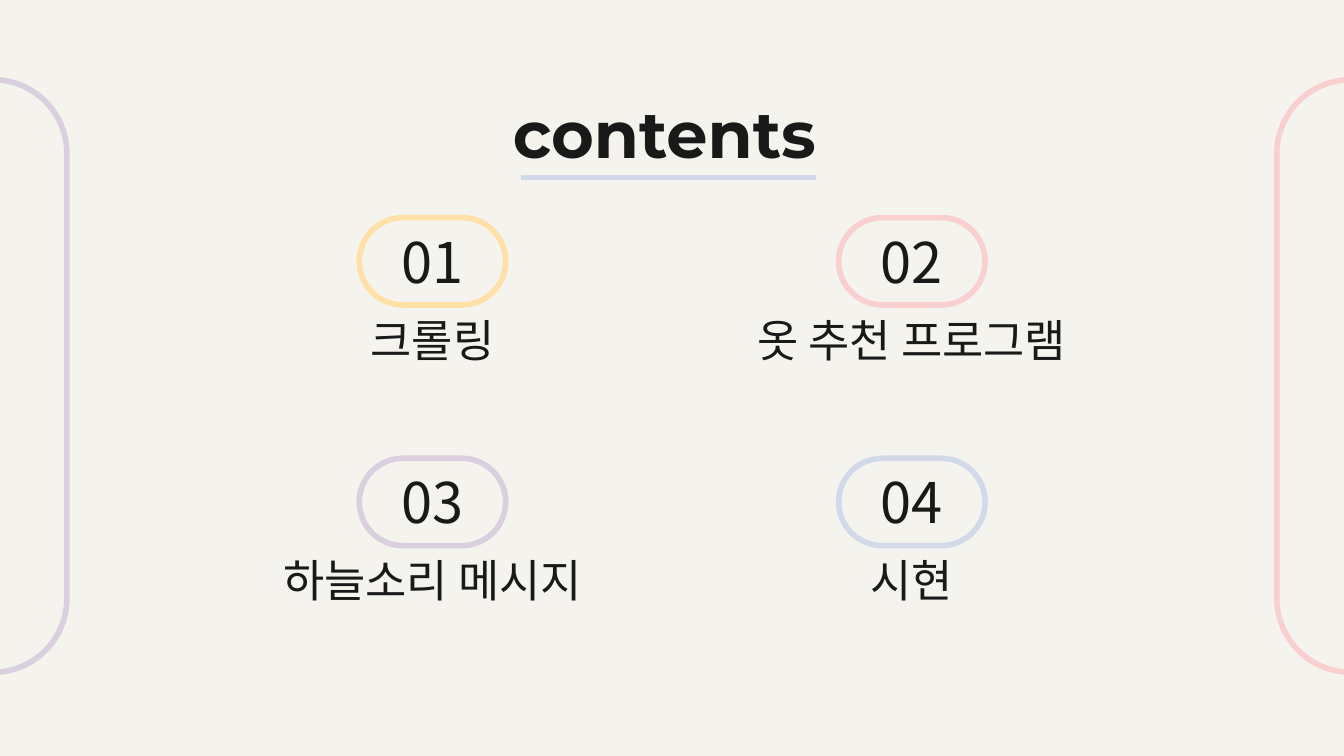
from lxml import etree
from pptx import Presentation
from pptx.dml.color import RGBColor
from pptx.enum.shapes import MSO_CONNECTOR, MSO_SHAPE
from pptx.enum.text import MSO_ANCHOR, MSO_AUTO_SIZE, PP_ALIGN
from pptx.oxml.ns import qn
from pptx.util import Pt

ROUNDED = MSO_SHAPE.ROUNDED_RECTANGLE
STRAIGHT = MSO_CONNECTOR.STRAIGHT
TOP, MIDDLE, BOTTOM = MSO_ANCHOR.TOP, MSO_ANCHOR.MIDDLE, MSO_ANCHOR.BOTTOM
CENTER = PP_ALIGN.CENTER
FIXED = MSO_AUTO_SIZE.NONE

COLORS = {
    "background": "F5F3ED",
    "text": "191919",
    "yellow": "FFE0A7",
    "pink": "F9CFD0",
    "purple": "D9CFDE",
    "blue": "D2DAE9",
}
KOREAN = "Noto Sans CJK KR"
FORMATS = {
    "title": {"name": "Montserrat", "size": Pt(35), "bold": True},
    "number": {"name": KOREAN, "size": Pt(30), "bold": False},
    "label": {"name": KOREAN, "size": Pt(24), "bold": False},
}
FRAME = {
    "margin_left": Pt(7.2),
    "margin_right": Pt(7.2),
    "margin_top": Pt(7.2),
    "margin_bottom": Pt(7.2),
    "word_wrap": True,
    "auto_size": FIXED,
}
ITEMS = [
    ("01", "크롤링", "yellow"),
    ("02", "옷 추천 프로그램", "pink"),
    ("03", "하늘소리 메시지", "purple"),
    ("04", "시현", "blue"),
]


def write(box, text, style, anchor):
    frame = box.text_frame
    for name, value in FRAME.items():
        setattr(frame, name, value)
    frame.vertical_anchor = anchor
    para = frame.paragraphs[0]
    para.alignment = CENTER
    span = para.add_run()
    span.text = text
    for name, value in FORMATS[style].items():
        setattr(span.font, name, value)
    span.font.color.rgb = RGBColor.from_string(COLORS["text"])
    east_asian = etree.SubElement(span.font._element, qn("a:ea"))
    east_asian.set("typeface", FORMATS[style]["name"])


def add_pill(center_x, center_y, width, height, color):
    """Add an unfilled, fully rounded outline around a centre point."""
    pill = page.shapes.add_shape(
        ROUNDED, Pt(center_x - width / 2), Pt(center_y - height / 2), Pt(width), Pt(height)
    )
    pill.adjustments[0] = 0.5
    pill.shadow.inherit = False
    pill.fill.background()
    pill.line.color.rgb = RGBColor.from_string(COLORS[color])
    pill.line.width = Pt(3)
    return pill


deck = Presentation()
deck.slide_width, deck.slide_height = Pt(720), Pt(405)
page = deck.slides.add_slide(deck.slide_layouts[5])
page.background.fill.solid()
page.background.fill.fore_color.rgb = RGBColor.from_string(COLORS["background"])

# Side frames running off both edges
for center_x, color in ((-3.8, "purple"), (723.6, "pink")):
    add_pill(center_x, 201.4, 317.5, 79.2, color).rotation = 90

# Title and its underline
title = page.shapes.title
title.left, title.top, title.width, title.height = Pt(196), Pt(42.6), Pt(320), Pt(45.4)
write(title, "contents", "title", TOP)

underline = page.shapes.add_connector(STRAIGHT, Pt(279.2), Pt(95.2), Pt(437), Pt(95.2))
underline.line.color.rgb = RGBColor.from_string(COLORS["blue"])
underline.line.width = Pt(3)
etree.SubElement(underline._element.spPr, qn("a:effectLst"))

# Contents in a two by two grid
for index, (number, label, color) in enumerate(ITEMS):
    row, column = divmod(index, 2)
    center_x = 231.7 + 256.8 * column
    top = 116.6 + 128.9 * row
    add_pill(center_x, top + 23.4, 78.5, 46.8, color)
    for text, style, anchor, offset, width, height in (
        (number, "number", MIDDLE, -0.2, 55.4, 46.8),
        (label, "label", BOTTOM, 44.9, 223.2, 41.8),
    ):
        box = page.shapes.add_textbox(
            Pt(center_x - width / 2), Pt(top + offset), Pt(width), Pt(height)
        )
        write(box, text, style, anchor)

deck.save("out.pptx")
